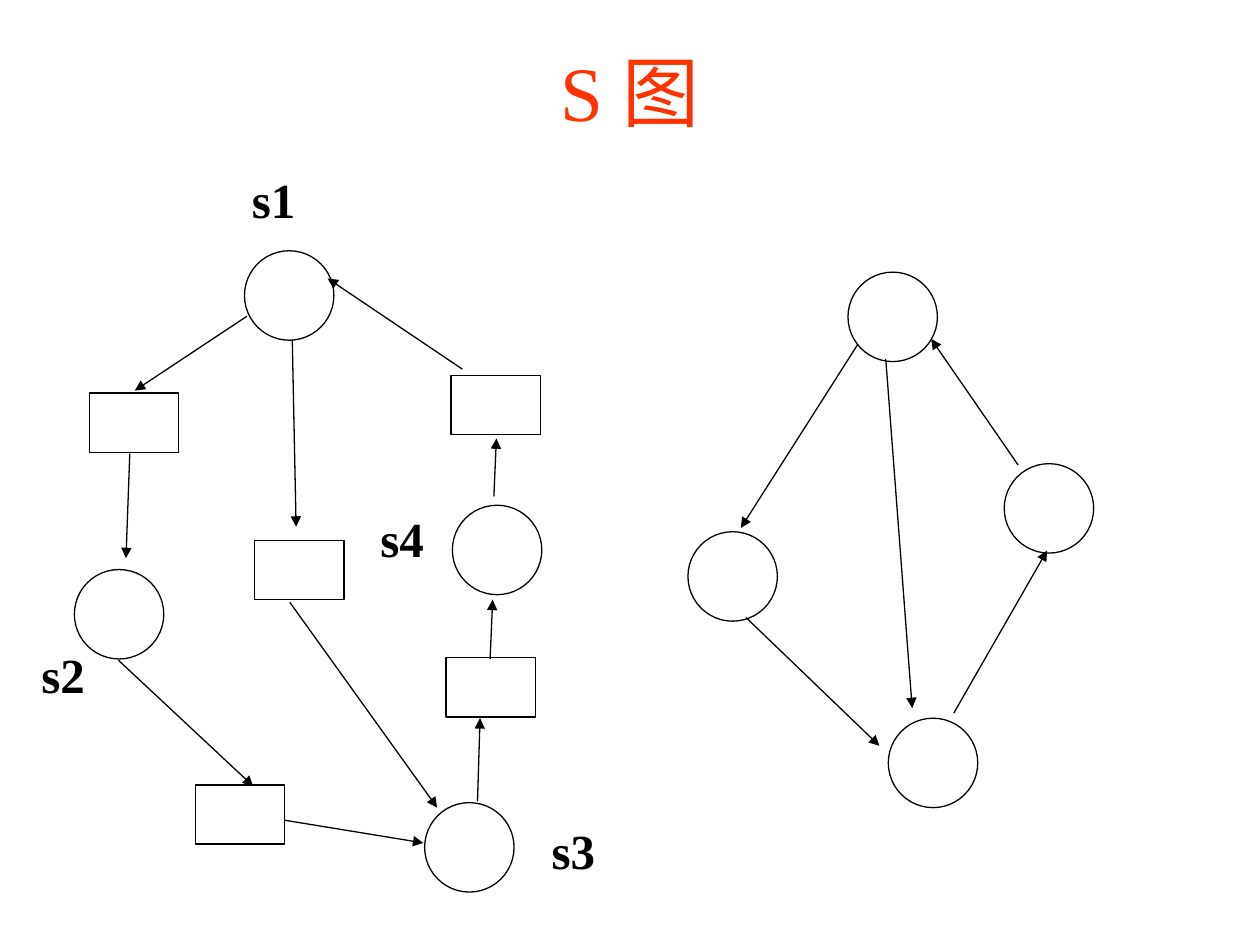
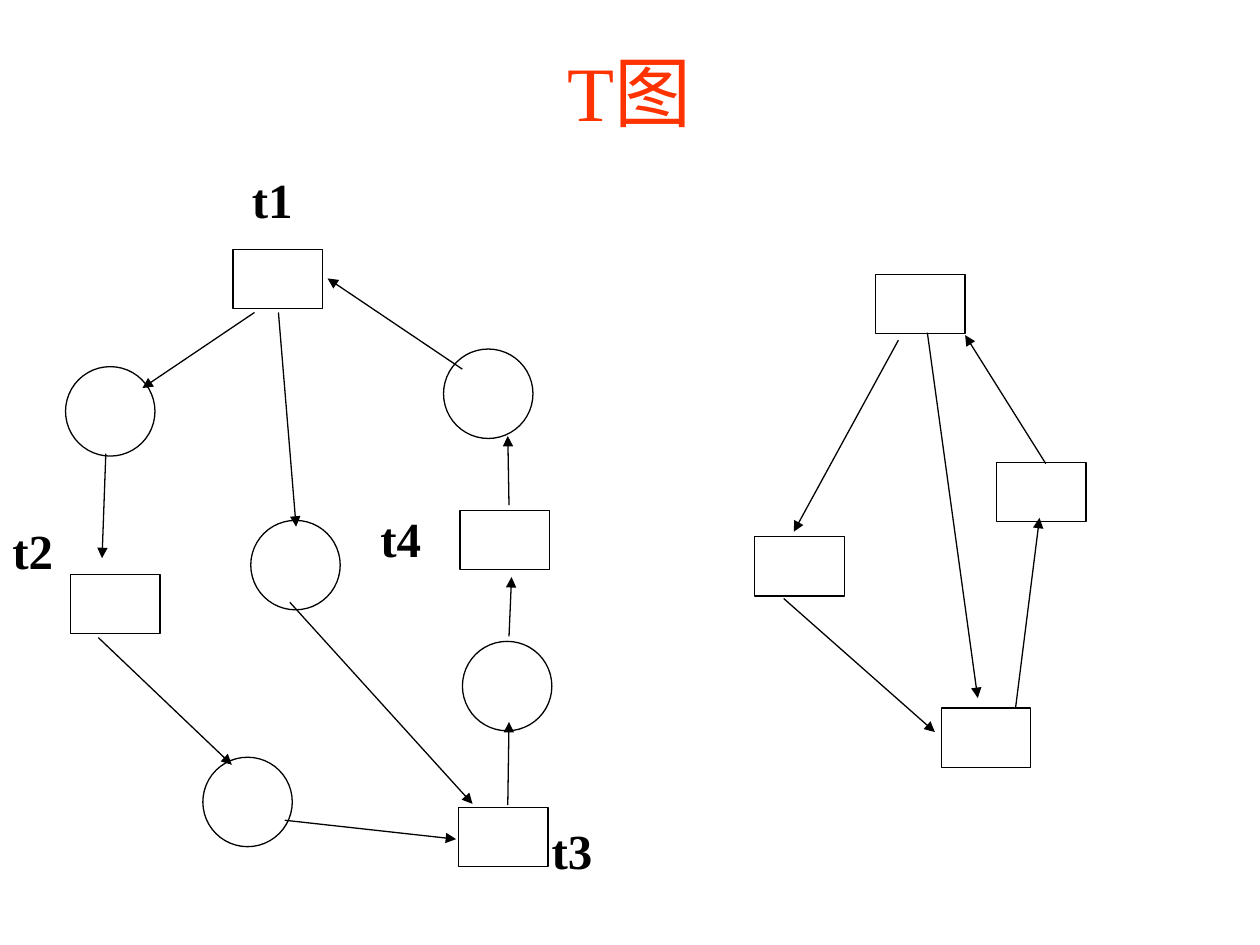
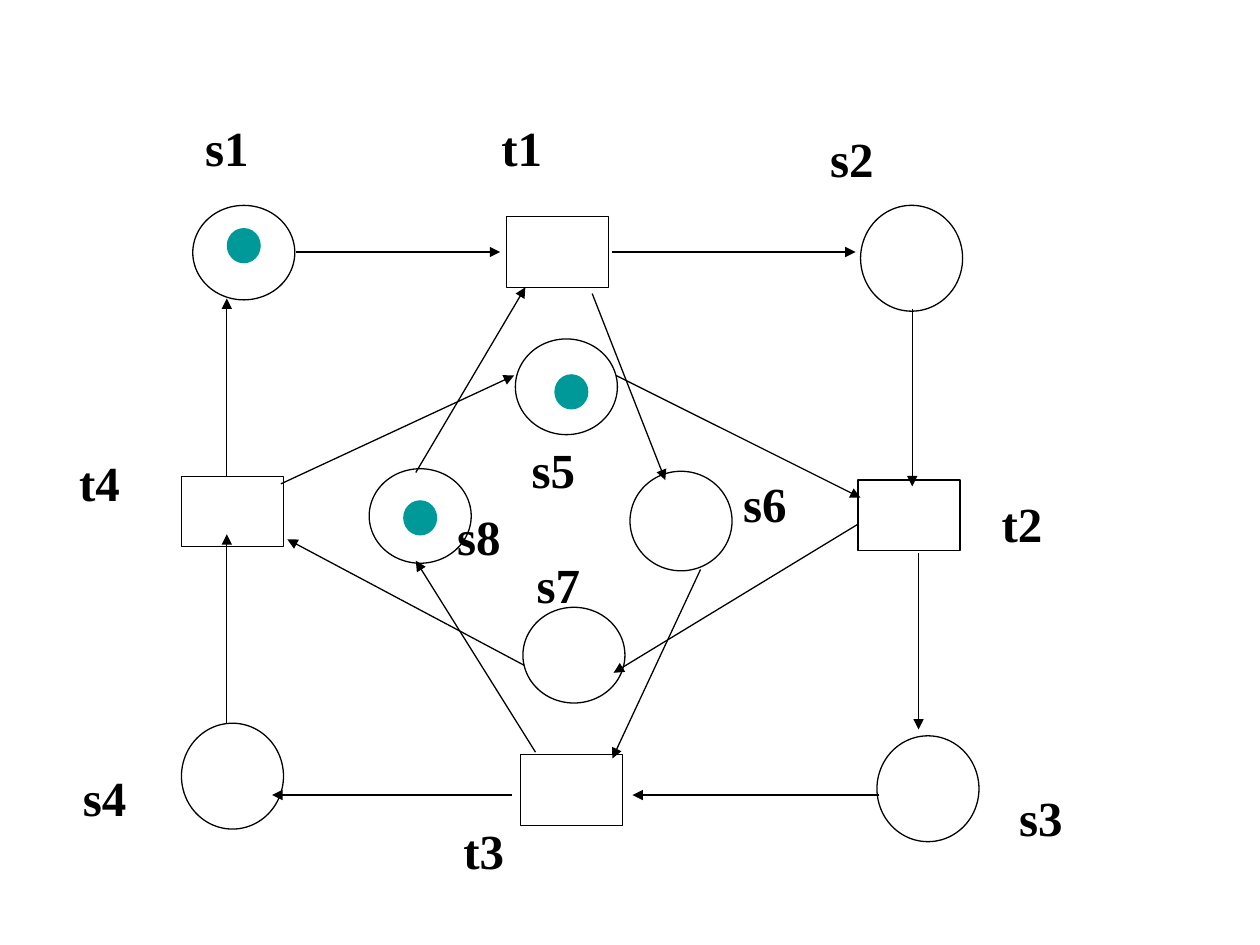
from lxml.etree import SubElement
from pptx import Presentation
from pptx.dml.color import RGBColor
from pptx.enum.shapes import MSO_CONNECTOR, MSO_SHAPE
from pptx.enum.text import MSO_ANCHOR, MSO_AUTO_SIZE, PP_ALIGN
from pptx.oxml.ns import qn
from pptx.util import Cm, Pt

COLORS = {"title": "FF3300", "ink": "000000", "paper": "FFFFFF", "token": "009999"}
FONT = "Times New Roman"
GRID = 2.54  # centimetres per grid unit; the slide measures 10 by 7.5 units
TITLE_ONLY, BLANK = 5, 6
LABEL_SIZE = (0.63, 0.67)
WIDE_LABEL_SIZE = (0.72, 0.79)
PLACE_SIZE = (0.71, 0.71)
TRANSITION_SIZE = (0.71, 0.47)
WIDE_TRANSITION_SIZE = (0.81, 0.56)
TOKEN_SIZE = (0.27, 0.28)


def grid(*values):
    return [Cm(value * GRID) for value in values]


def color(name):
    return RGBColor.from_string(COLORS[name])


class NetDeck:
    """Draws Petri nets: places, transitions, tokens, arcs and their labels."""

    def __init__(self):
        self.presentation = Presentation()
        self.presentation.slide_width, self.presentation.slide_height = grid(10, 7.5)
        self.slide = None

    def add_slide(self, title=None):
        layout = self.presentation.slide_layouts[BLANK if title is None else TITLE_ONLY]
        self.slide = self.presentation.slides.add_slide(layout)
        if title is not None:
            self.add_title(title)

    def add_title(self, text):
        shape = self.slide.shapes.title
        shape.left, shape.top, shape.width, shape.height = grid(0.5, 0.3, 9, 1.25)
        self.add_text(shape.text_frame, text, 44, "title", PP_ALIGN.CENTER)

    def add_text(self, frame, text, size, color_name, alignment, bold=False):
        frame.word_wrap = True
        frame.auto_size = MSO_AUTO_SIZE.NONE
        frame.vertical_anchor = MSO_ANCHOR.TOP
        paragraph = frame.paragraphs[0]
        paragraph.alignment = alignment
        run = paragraph.add_run()
        run.text = text
        run.font.name = FONT
        run.font.size = Pt(size)
        run.font.bold = bold
        run.font.color.rgb = color(color_name)
        return paragraph

    def add_label(self, text, position, size=LABEL_SIZE):
        box = self.slide.shapes.add_textbox(*grid(*position, *size))
        paragraph = self.add_text(box.text_frame, text, 28, "ink", PP_ALIGN.LEFT, bold=True)
        paragraph.space_before = Pt(3.5)

    def add_node(self, preset, position, size, fill=None, line="ink"):
        shape = self.slide.shapes.add_shape(preset, *grid(*position, *size))
        shape.shadow.inherit = False
        if fill:
            shape.fill.solid()
            shape.fill.fore_color.rgb = color(fill)
        else:
            shape.fill.background()
        if line:
            shape.line.color.rgb = color(line)
            shape.line.width = Pt(0.75)
        else:
            shape.line.fill.background()

    def add_place(self, position, size=PLACE_SIZE):
        self.add_node(MSO_SHAPE.OVAL, position, size)

    def add_transition(self, position, size=TRANSITION_SIZE):
        self.add_node(MSO_SHAPE.RECTANGLE, position, size, fill="paper")

    def add_token(self, position):
        self.add_node(MSO_SHAPE.OVAL, position, TOKEN_SIZE, fill="token", line=None)

    def add_arc(self, start, end):
        connector = self.slide.shapes.add_connector(
            MSO_CONNECTOR.STRAIGHT, *grid(*start, *end))
        connector.line.color.rgb = color("ink")
        connector.line.width = Pt(0.75)
        properties = connector.element.spPr
        SubElement(properties.find(qn("a:ln")), qn("a:tailEnd"), type="triangle")
        SubElement(properties, qn("a:effectLst"))

    def add_net(self, places, transitions, arcs, labels):
        for position in places:
            self.add_place(position)
        for position in transitions:
            self.add_transition(position)
        for start, end in arcs:
            self.add_arc(start, end)
        for text, position in labels.items():
            self.add_label(text, position)


def add_s_graph(deck):
    deck.add_slide("S 图")
    net_places = [(1.94, 1.99), (0.59, 4.52), (3.37, 6.37), (3.59, 4.01)]
    graph_places = [(6.73, 2.16), (5.46, 4.22), (7.05, 5.7), (7.97, 3.68)]
    transitions = [(3.58, 2.98), (0.71, 3.12), (2.02, 4.29), (1.55, 6.23), (3.54, 5.22)]
    net_arcs = [
        ((1.96, 2.51), (1.07, 3.1)), ((1.03, 3.6), (1, 4.43)),
        ((0.94, 5.24), (2.01, 6.24)), ((2.26, 6.51), (3.36, 6.69)),
        ((2.32, 2.7), (2.35, 4.18)), ((2.3, 4.78), (3.47, 6.41)),
        ((3.79, 6.36), (3.81, 5.7)), ((3.89, 5.23), (3.91, 4.76)),
        ((3.92, 3.94), (3.94, 3.48)), ((3.67, 2.93), (2.6, 2.21)),
    ]
    graph_arcs = [
        ((6.81, 2.73), (5.88, 4.19)), ((5.92, 4.9), (6.98, 5.92)),
        ((7.03, 2.85), (7.24, 5.62)), ((7.57, 5.66), (8.31, 4.37)),
        ((8.08, 3.69), (7.39, 2.69)),
    ]
    labels = {"s1": (1.9, 1.3), "s2": (0.23, 5.07), "s3": (4.28, 6.46), "s4": (2.92, 3.99)}
    deck.add_net(net_places + graph_places, transitions, net_arcs + graph_arcs, labels)


def add_t_graph(deck):
    deck.add_slide("T图")
    places = [(3.52, 2.77), (0.52, 2.91), (1.61, 6.01), (3.67, 5.09), (1.99, 4.13)]
    net_transitions = [(1.85, 1.98), (0.56, 4.56), (3.64, 6.41), (3.65, 4.05)]
    graph_transitions = [(6.95, 2.18), (5.99, 4.26), (7.47, 5.62), (7.91, 3.67)]
    net_arcs = [
        ((2.02, 2.48), (1.13, 3.08)), ((0.84, 3.6), (0.81, 4.43)),
        ((0.78, 5.06), (1.84, 6.07)), ((2.26, 6.51), (3.62, 6.66)),
        ((2.21, 2.48), (2.35, 4.18)), ((2.3, 4.78), (3.75, 6.38)),
        ((4.03, 6.39), (4.04, 5.73)), ((4.04, 5.05), (4.06, 4.58)),
        ((4.04, 4.01), (4.03, 3.46)), ((3.67, 2.93), (2.6, 2.21)),
    ]
    graph_arcs = [
        ((7.13, 2.7), (6.3, 4.22)), ((6.22, 4.75), (7.42, 5.81)),
        ((7.36, 2.64), (7.76, 5.54)), ((8.06, 5.62), (8.25, 4.11)),
        ((8.3, 3.68), (7.66, 2.66)),
    ]
    labels = {"t1": (1.9, 1.3), "t2": (0, 4.08), "t3": (4.28, 6.46), "t4": (2.92, 3.99)}
    deck.add_net(places, net_transitions + graph_transitions, net_arcs + graph_arcs, labels)


def add_marked_net(deck):
    deck.add_slide()
    places = [  # position and height, s1 to s8
        ((1.53, 1.63), 0.75), ((6.83, 1.63), 0.84), ((6.96, 5.84), 0.84),
        ((1.44, 5.74), 0.84), ((4.09, 2.69), 0.76), ((5, 3.74), 0.79),
        ((4.15, 4.82), 0.76), ((2.93, 3.72), 0.75),
    ]
    transitions = [(4.02, 1.72), (6.81, 3.81), (4.13, 5.99), (1.44, 3.78)]
    tokens = [(1.8, 1.81), (4.4, 2.97), (3.2, 3.97)]
    outer_arcs = [
        ((2.35, 2), (3.97, 2)), ((4.86, 2), (6.79, 2)),
        ((7.24, 2.45), (7.24, 3.86)), ((7.29, 4.39), (7.29, 5.79)),
        ((6.98, 6.31), (5.02, 6.31)), ((4.06, 6.31), (2.16, 6.31)),
        ((1.8, 5.74), (1.8, 4.24)), ((1.8, 3.78), (1.8, 2.37)),
    ]
    inner_arcs = [
        ((2.23, 3.84), (4.08, 2.98)), ((4.89, 2.98), (6.83, 3.95)),
        ((6.81, 4.16), (4.87, 5.34)), ((4.16, 5.28), (2.28, 4.28)),
        ((4.7, 2.33), (5.28, 3.81)), ((5.56, 4.52), (4.86, 6.02)),
        ((4.25, 5.97), (3.3, 4.45)), ((3.3, 3.75), (4.17, 2.28)),
    ]
    labels = {
        "s1": (1.53, 0.88), "t1": (3.88, 0.88), "s2": (6.49, 0.97), "t2": (7.85, 3.87),
        "s3": (7.99, 6.2), "t3": (3.58, 6.46), "s4": (0.56, 6.04), "t4": (0.53, 3.54),
        "s5": (4.12, 3.44), "s6": (5.8, 3.71), "s7": (4.16, 4.35), "s8": (3.53, 3.97),
    }
    for position, height in places:
        deck.add_place(position, (0.81, height))
    for position in transitions:
        deck.add_transition(position, WIDE_TRANSITION_SIZE)
    for position in tokens:
        deck.add_token(position)
    for start, end in outer_arcs + inner_arcs:
        deck.add_arc(start, end)
    for text, position in labels.items():
        deck.add_label(text, position, WIDE_LABEL_SIZE)


def main():
    deck = NetDeck()
    add_s_graph(deck)
    add_t_graph(deck)
    add_marked_net(deck)
    deck.presentation.save("out.pptx")


if __name__ == "__main__":
    main()
